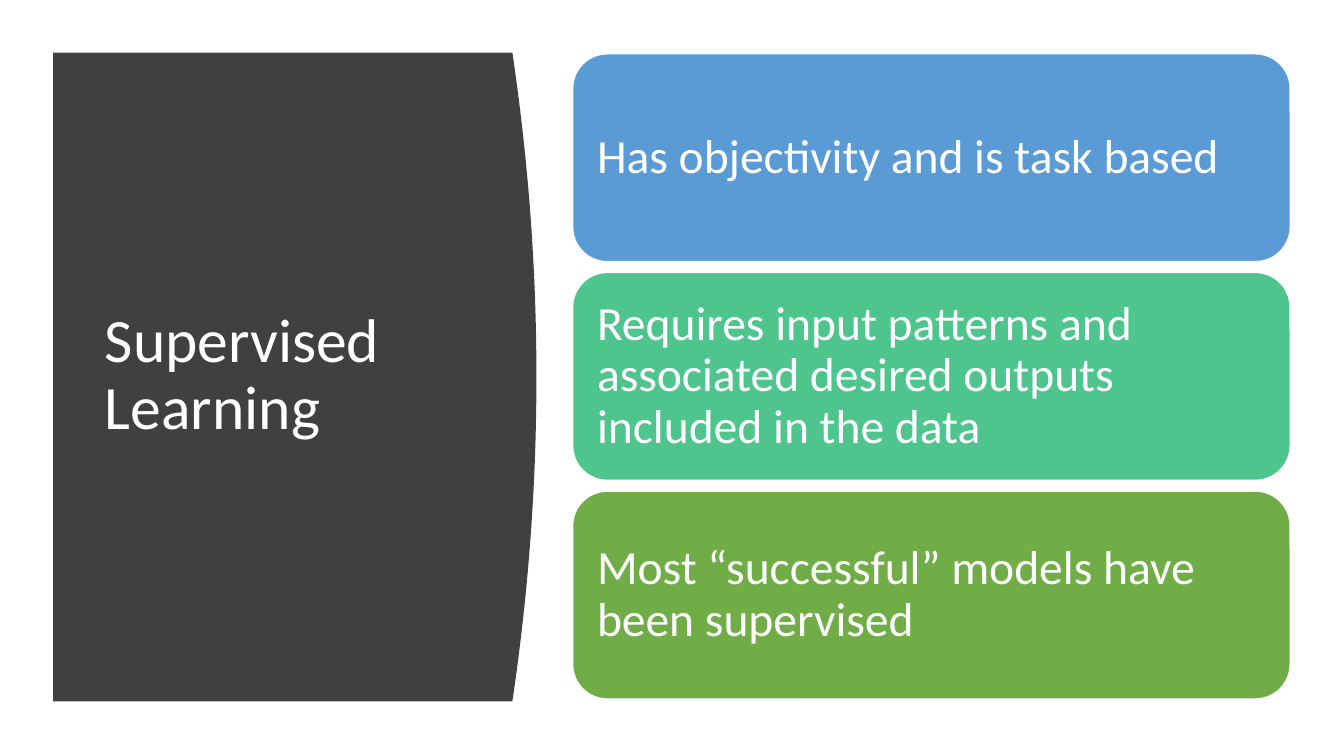
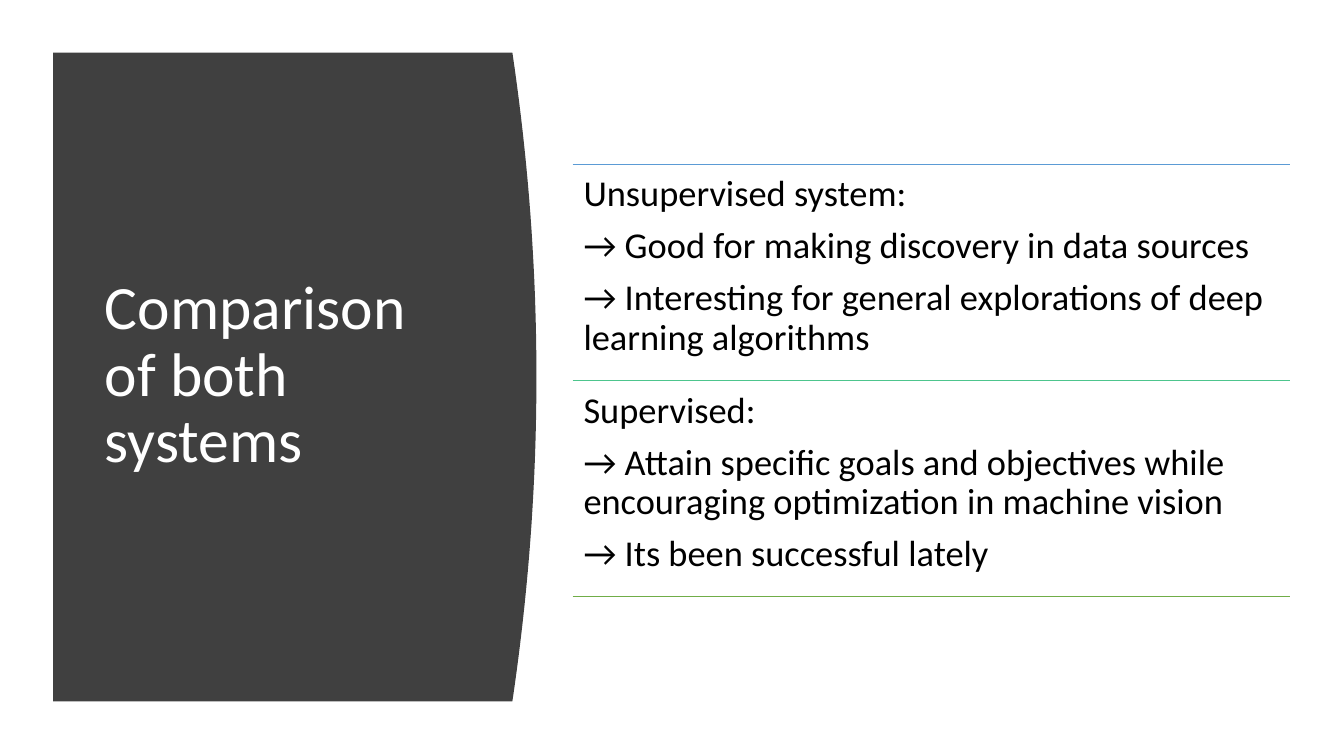
from pptx import Presentation
from pptx.dml.color import RGBColor
from pptx.enum.shapes import MSO_CONNECTOR, MSO_SHAPE
from pptx.enum.text import MSO_ANCHOR, MSO_AUTO_SIZE, PP_ALIGN
from pptx.oxml.ns import qn
from pptx.util import Pt
from lxml import etree

FONT = "Calibri"
WHITE, BLACK, CHARCOAL = "FFFFFF", "000000", "404040"
ACCENTS = ["5B9BD5", "4DC58D", "70AD47"]

PANEL_LEFT, PANEL_TOP, PANEL_EDGE, PANEL_HEIGHT = 38, 37.5, 366, 463.5
PANEL_BULGE = 17.2
CURVE_STEPS = 40
CONTENT_LEFT, CONTENT_WIDTH = 409, 512.6

CARDS = [
    "Has objectivity and is task based",
    "Requires input patterns and associated desired outputs included in the data",
    "Most “successful” models have been supervised",
]
SYSTEMS = [
    [
        "Unsupervised system:",
        "→ Good for making discovery in data sources",
        "→ Interesting for general explorations of deep learning algorithms",
    ],
    [
        "Supervised:",
        "→ Attain specific goals and objectives while encouraging optimization in machine vision",
        "→ Its been successful lately",
    ],
]


def rgb(hex_color):
    return RGBColor.from_string(hex_color)


def paint(shape, fill, outline=None):
    shape.shadow.inherit = False
    shape.fill.solid()
    shape.fill.fore_color.rgb = rgb(fill)
    if outline:
        shape.line.color.rgb = rgb(outline)
        shape.line.width = Pt(1)
    else:
        shape.line.fill.background()


def write(shape, paragraphs, size, color, inset=(7.2, 3.6),
          anchor=MSO_ANCHOR.MIDDLE, gap=0):
    """Fill a shape with left-aligned paragraphs; inset is (sides, top and bottom)."""
    frame = shape.text_frame
    sides, ends = map(Pt, inset)
    frame_format = {
        "text": "\n".join(paragraphs),
        "word_wrap": True,
        "auto_size": MSO_AUTO_SIZE.NONE,
        "vertical_anchor": anchor,
        "margin_left": sides, "margin_right": sides,
        "margin_top": ends, "margin_bottom": ends,
    }
    paragraph_format = {
        "alignment": PP_ALIGN.LEFT,
        "line_spacing": 0.9,
        "space_before": Pt(0),
        "space_after": Pt(gap),
    }
    for name, value in frame_format.items():
        setattr(frame, name, value)
    for paragraph in frame.paragraphs:
        for name, value in paragraph_format.items():
            setattr(paragraph, name, value)
        paragraph.font.name = FONT
        paragraph.font.size = Pt(size)
        paragraph.font.color.rgb = rgb(color)


def add_panel(slide):
    """Draw the dark panel whose right side is a shallow parabola, behind the title."""
    outline = slide.shapes.build_freeform(Pt(PANEL_LEFT), Pt(PANEL_TOP))
    curve = []
    for step in range(CURVE_STEPS + 1):
        share = step / CURVE_STEPS
        bulge = PANEL_BULGE * (1 - (2 * share - 1) ** 2)
        curve.append((Pt(PANEL_EDGE + bulge), Pt(PANEL_TOP + PANEL_HEIGHT * share)))
    bottom_left = (Pt(PANEL_LEFT), Pt(PANEL_TOP + PANEL_HEIGHT))
    outline.add_line_segments(curve + [bottom_left], close=True)
    panel = outline.convert_to_shape()
    paint(panel, CHARCOAL)
    slide.shapes.title._element.addprevious(panel._element)


def add_titled_slide(deck, heading):
    slide = deck.slides.add_slide(deck.slide_layouts[5])
    add_panel(slide)
    title = slide.shapes.title
    title.left, title.top, title.width, title.height = map(Pt, (67.7, 80, 269.3, 377.3))
    write(title, [heading], 44, WHITE)
    return slide


def add_card(slide, top, height, statement, color):
    card = slide.shapes.add_shape(
        MSO_SHAPE.ROUNDED_RECTANGLE,
        Pt(CONTENT_LEFT), Pt(top), Pt(CONTENT_WIDTH), Pt(height))
    paint(card, color, WHITE)
    write(card, [statement], 34, WHITE, inset=(10.2, 10.2))


def add_rule(slide, y, color):
    rule = slide.shapes.add_connector(
        MSO_CONNECTOR.STRAIGHT,
        Pt(CONTENT_LEFT), Pt(y), Pt(CONTENT_LEFT + CONTENT_WIDTH), Pt(y))
    rule.line.color.rgb = rgb(color)
    rule.line.width = Pt(1)
    etree.SubElement(rule._element.spPr, qn("a:effectLst"))


def add_system(slide, top, height, points):
    box = slide.shapes.add_textbox(
        Pt(CONTENT_LEFT), Pt(top), Pt(CONTENT_WIDTH), Pt(height))
    write(box, points, 26, BLACK, inset=(7.8, 7.8), anchor=MSO_ANCHOR.TOP, gap=9.1)


def add_supervised_slide(deck):
    slide = add_titled_slide(deck, "Supervised Learning")
    first_top, height, pitch = 38.4, 148.5, 156.2
    for row, (statement, color) in enumerate(zip(CARDS, ACCENTS)):
        add_card(slide, first_top + row * pitch, height, statement, color)


def add_comparison_slide(deck):
    slide = add_titled_slide(deck, "Comparison of both systems")
    first_top, pitch = 117.5, 154.4
    for row, color in enumerate(ACCENTS):
        add_rule(slide, first_top + row * pitch, color)
    for row, points in enumerate(SYSTEMS):
        add_system(slide, first_top + row * pitch, pitch, points)


def main():
    deck = Presentation()
    deck.slide_width, deck.slide_height = Pt(960), Pt(540)
    add_supervised_slide(deck)
    add_comparison_slide(deck)
    deck.save("out.pptx")


if __name__ == "__main__":
    main()
